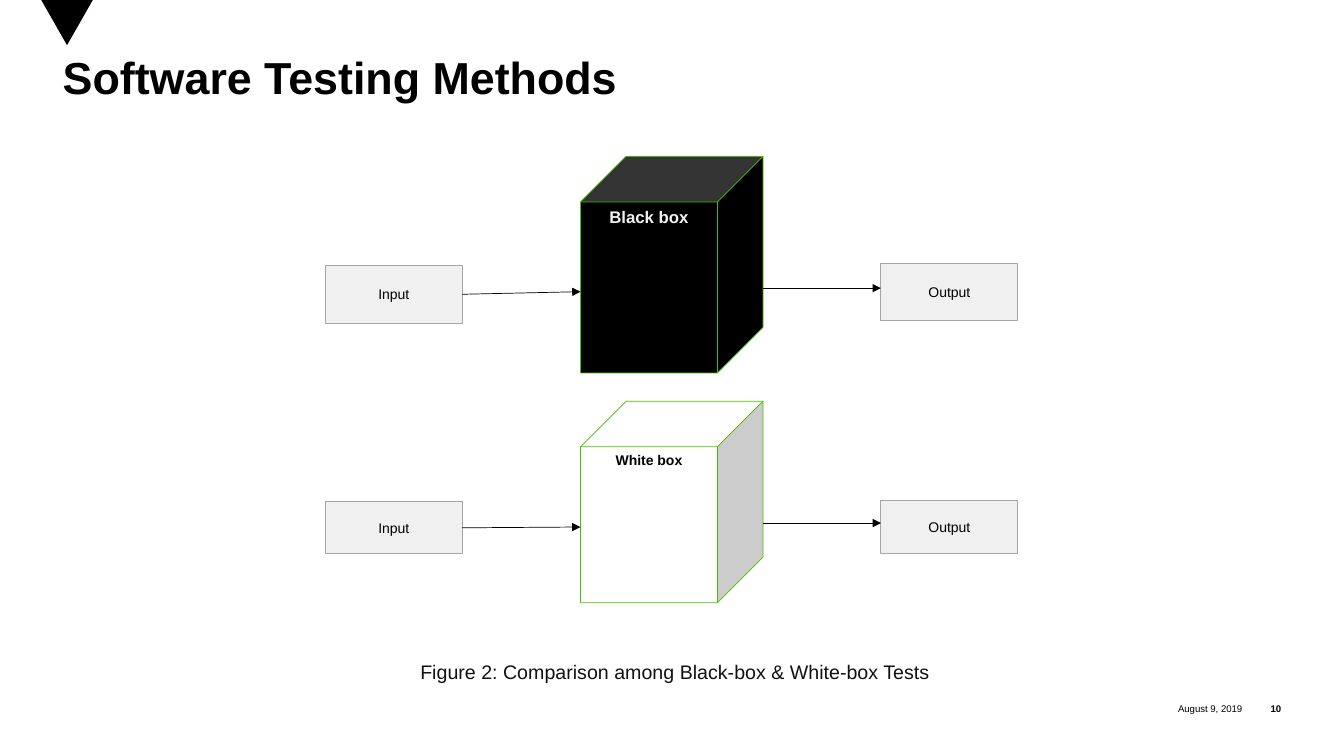
from lxml import etree
from pptx import Presentation
from pptx.dml.color import RGBColor
from pptx.enum.shapes import MSO_CONNECTOR, MSO_SHAPE
from pptx.enum.text import MSO_ANCHOR, MSO_AUTO_SIZE, PP_ALIGN
from pptx.oxml.ns import qn
from pptx.util import Cm, Pt

RECTANGLE = MSO_SHAPE.RECTANGLE
CUBE = MSO_SHAPE.CUBE
STRAIGHT = MSO_CONNECTOR.STRAIGHT
TOP, MIDDLE = MSO_ANCHOR.TOP, MSO_ANCHOR.MIDDLE
LEFT, CENTER, RIGHT = PP_ALIGN.LEFT, PP_ALIGN.CENTER, PP_ALIGN.RIGHT
NO_AUTOSIZE = MSO_AUTO_SIZE.NONE

BLACK = "000000"
INPUT_LEFT, CUBE_LEFT, OUTPUT_LEFT = 8.2, 14.63, 22.2
BOX_WIDTH, CUBE_WIDTH = 3.45, 4.6
RIGHT_SIDE = 3


def color(hex_string):
    return RGBColor.from_string(hex_string)


def write(shape, text, size, hex_color=BLACK, bold=False, align=CENTER, anchor=MIDDLE):
    text_frame = shape.text_frame
    text_frame.text = text
    text_frame.vertical_anchor = anchor
    paragraph = text_frame.paragraphs[0]
    paragraph.alignment = align
    font = paragraph.runs[0].font
    font.name = "Arial"
    font.size = Pt(size)
    font.bold = bold
    font.color.rgb = color(hex_color)


def remove_insets(text_frame):
    text_frame.margin_left = text_frame.margin_right = 0
    text_frame.margin_top = text_frame.margin_bottom = 0


def add_title(slide, text):
    title = slide.shapes.title
    title.left, title.top, title.width, title.height = Cm(1.58), Cm(1.47), Cm(30.68), Cm(3.28)
    write(title, text, 32, bold=True, align=LEFT, anchor=TOP)
    remove_insets(title.text_frame)
    title.text_frame.auto_size = NO_AUTOSIZE
    title.text_frame.paragraphs[0].line_spacing = 0.85


def add_corner_triangle(slide):
    builder = slide.shapes.build_freeform(Cm(1.04), 0)
    builder.add_line_segments([(Cm(1.69), Cm(1.14)), (Cm(2.34), 0)], close=True)
    triangle = builder.convert_to_shape()
    triangle.shadow.inherit = False
    triangle.fill.solid()
    triangle.fill.fore_color.rgb = color(BLACK)
    triangle.line.fill.background()


def add_block(slide, kind, left, top, width, height, fill, line, line_width):
    shape = slide.shapes.add_shape(kind, Cm(left), Cm(top), Cm(width), Cm(height))
    shape.shadow.inherit = False
    shape.fill.solid()
    shape.fill.fore_color.rgb = color(fill)
    shape.line.color.rgb = color(line)
    shape.line.width = Pt(line_width)
    return shape


def add_box(slide, text, left, top, height):
    box = add_block(slide, RECTANGLE, left, top, BOX_WIDTH, height, "F0F0F0", "A6A6A6", 0.75)
    write(box, text, 10)
    return box


def add_arrow(slide, start_left, start_top, end_left, end_top):
    arrow = slide.shapes.add_connector(
        STRAIGHT, Cm(start_left), Cm(start_top), Cm(end_left), Cm(end_top))
    arrow.line.color.rgb = color(BLACK)
    arrow.line.width = Pt(0.5)
    etree.SubElement(arrow.line._get_or_add_ln(), qn("a:tailEnd"), type="triangle")
    etree.SubElement(arrow._element.spPr, qn("a:effectLst"))
    return arrow


def add_test_method(slide, name, cube, label, input_box, output_box, arrow_tops):
    cube_top, cube_height, cube_fill = cube
    label_size, label_color = label
    input_arrow_top, output_arrow_top = arrow_tops
    input_shape = add_box(slide, "Input", INPUT_LEFT, *input_box)
    add_box(slide, "Output", OUTPUT_LEFT, *output_box)
    cube_shape = add_block(slide, CUBE, CUBE_LEFT, cube_top, CUBE_WIDTH, cube_height,
                           cube_fill, "4ABD00", 0.5)
    write(cube_shape, name, label_size, label_color, bold=True, anchor=TOP)
    input_arrow = add_arrow(slide, INPUT_LEFT + BOX_WIDTH, input_arrow_top,
                            CUBE_LEFT, input_arrow_top)
    input_arrow.begin_connect(input_shape, RIGHT_SIDE)
    add_arrow(slide, CUBE_LEFT + CUBE_WIDTH, output_arrow_top, OUTPUT_LEFT, output_arrow_top)


def add_text(slide, text, left, top, width, height, size, **style):
    text_box = slide.shapes.add_textbox(Cm(left), Cm(top), Cm(width), Cm(height))
    write(text_box, text, size, **style)
    return text_box


def add_footer_text(slide, text, left, width, bold):
    text_box = add_text(slide, text, left, 17.55, width, 0.64, 6.9, bold=bold, align=RIGHT)
    remove_insets(text_box.text_frame)
    text_box.text_frame.word_wrap = True


def main():
    presentation = Presentation()
    presentation.slide_width, presentation.slide_height = Cm(33.87), Cm(19.05)
    slide = presentation.slides.add_slide(presentation.slide_layouts[5])
    add_corner_triangle(slide)
    add_title(slide, "Software Testing Methods")
    add_test_method(slide, "Black box", cube=(3.94, 5.46, BLACK), label=(12, "F2F2F2"),
                    input_box=(6.68, 1.47), output_box=(6.65, 1.42), arrow_tops=(7.35, 7.26))
    add_test_method(slide, "White box", cube=(10.11, 5.08, "FFFFFF"), label=(10, BLACK),
                    input_box=(12.65, 1.3), output_box=(12.62, 1.32), arrow_tops=(13.28, 13.18))
    add_text(slide, "Figure 2: Comparison among Black-box & White-box Tests",
             10.31, 16.51, 13.41, 0.86, 14, hex_color="111111", anchor=TOP)
    add_footer_text(slide, "August 9, 2019", 27.53, 3.78, bold=False)
    add_footer_text(slide, "10", 31.32, 0.97, bold=True)
    presentation.save("out.pptx")


if __name__ == "__main__":
    main()
